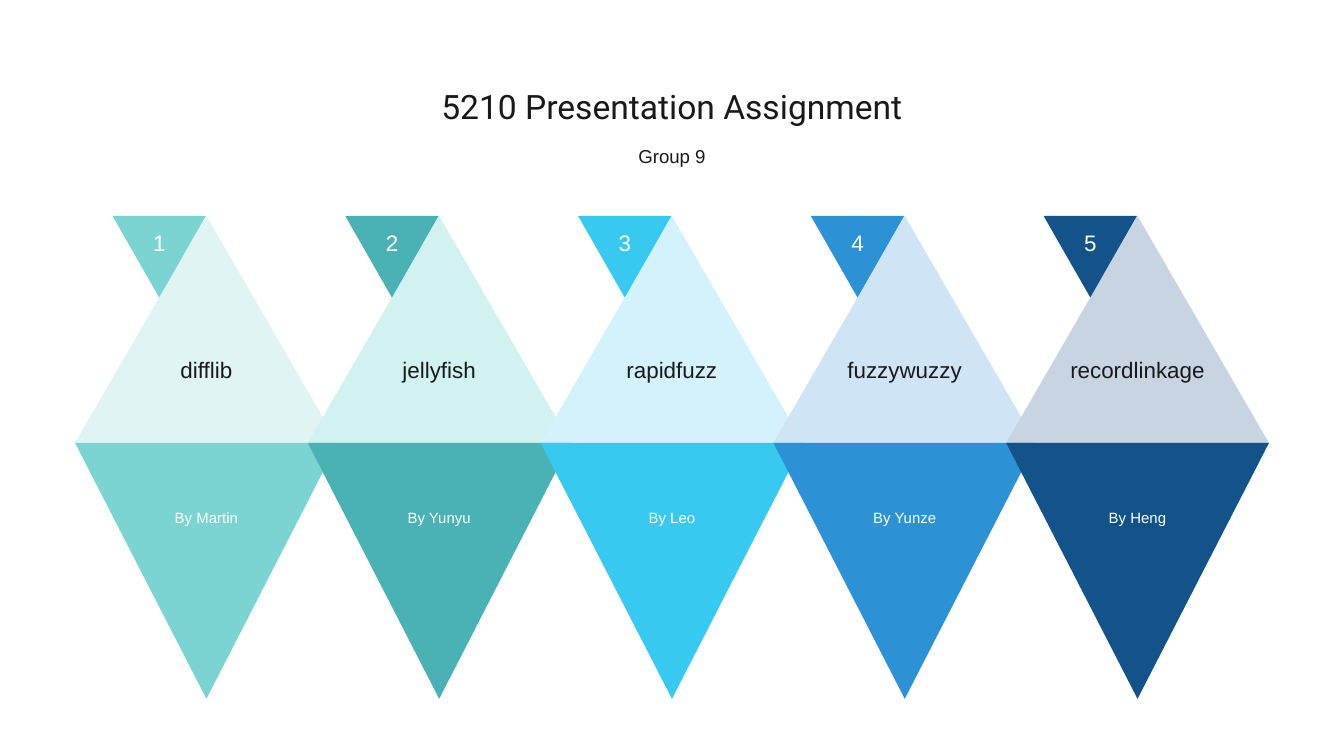
import pptx
import pptx.dml.color
import pptx.enum.text
import pptx.util

Pt = pptx.util.Pt
RGBColor = pptx.dml.color.RGBColor
Anchor = pptx.enum.text.MSO_ANCHOR

INK = RGBColor(0x19, 0x19, 0x19)
WHITE = RGBColor(0xFF, 0xFF, 0xFF)
PALE_MINT = RGBColor(0xE0, 0xF4, 0xF4)
PALE_TEAL = RGBColor(0xD2, 0xF1, 0xF1)
PALE_CYAN = RGBColor(0xD3, 0xF2, 0xFB)
PALE_BLUE = RGBColor(0xCF, 0xE4, 0xF5)
PALE_NAVY = RGBColor(0xC8, 0xD4, 0xE2)
MINT = RGBColor(0x7C, 0xD4, 0xD2)
TEAL = RGBColor(0x4A, 0xB1, 0xB4)
CYAN = RGBColor(0x37, 0xC9, 0xEF)
BLUE = RGBColor(0x2C, 0x92, 0xD5)
NAVY = RGBColor(0x13, 0x53, 0x8A)

PALE_COLOURS = [PALE_MINT, PALE_TEAL, PALE_CYAN, PALE_BLUE, PALE_NAVY]
STRONG_COLOURS = [MINT, TEAL, CYAN, BLUE, NAVY]
LIBRARIES = ["difflib", "jellyfish", "rapidfuzz", "fuzzywuzzy", "recordlinkage"]
AUTHORS = ["By Martin", "By Yunyu", "By Leo", "By Yunze", "By Heng"]
NUMBERS = ["1", "2", "3", "4", "5"]
COLUMN_STEP = 124.7


def add_text(page, box, text, size, colour=INK, font="Arial", spacing=1.4,
             inset=0, anchor=Anchor.MIDDLE):
    frame = page.shapes.add_textbox(*(Pt(length) for length in box)).text_frame
    frame.word_wrap = True
    frame.vertical_anchor = anchor
    frame.margin_left = frame.margin_right = Pt(inset)
    frame.margin_top = frame.margin_bottom = Pt(inset)
    para = frame.paragraphs[0]
    para.alignment = pptx.enum.text.PP_ALIGN.CENTER
    para.line_spacing = spacing
    span = para.add_run()
    span.text = text
    span.font.name = font
    span.font.size = Pt(size)
    span.font.color.rgb = colour


def add_triangle(page, box, colour, points_up):
    left, top, width, height = box
    bottom = top + height
    tip, base = (top, bottom) if points_up else (bottom, top)
    corners = [(left + width, base), (left, base)]
    builder = page.shapes.build_freeform(Pt(left + width / 2), Pt(tip))
    builder.add_line_segments([(Pt(x), Pt(y)) for x, y in corners], close=True)
    triangle = builder.convert_to_shape()
    triangle.shadow.inherit = False
    triangle.fill.solid()
    triangle.fill.fore_color.rgb = colour
    triangle.line.fill.background()


def add_heading(page, box):
    left, top, width, height = box
    add_text(page, (left, top, width, 21.6), "5210 Presentation Assignment", 18,
             font="Roboto", spacing=1.2, anchor=Anchor.TOP)
    add_text(page, (left, top + height - 12.2, width, 12.2), "Group 9", 10,
             spacing=1.75, anchor=Anchor.TOP)


def add_triangle_row(page, box, labels, colours, label_area, points_up=False, **text_format):
    first_left, top, width, height = box
    label_top, label_width, label_height = label_area
    for column, (label, colour) in enumerate(zip(labels, colours)):
        left = first_left + column * COLUMN_STEP
        add_triangle(page, (left, top, width, height), colour, points_up)
        label_left = left + (width - label_width) / 2
        add_text(page, (label_left, top + label_top, label_width, label_height),
                 label, **text_format)


def main():
    deck = pptx.Presentation()
    deck.slide_width = Pt(720)
    deck.slide_height = Pt(405)
    page = deck.slides.add_slide(deck.slide_layouts[6])
    add_heading(page, (113.5, 41.8, 493, 38.8))
    add_triangle_row(page, (40.2, 115.7, 140.8, 121.6), LIBRARIES, PALE_COLOURS,
                     (46.8, 96.5, 65.5), points_up=True, size=12, inset=2)
    add_triangle_row(page, (40.2, 237.3, 140.8, 137.1), AUTHORS, STRONG_COLOURS,
                     (1.6, 96.5, 72), size=8, colour=WHITE, spacing=1.5, inset=10)
    add_triangle_row(page, (60.3, 115.7, 50, 43.7), NUMBERS, STRONG_COLOURS,
                     (0, 34.5, 23), size=12, colour=WHITE, inset=2)
    deck.save("out.pptx")


if __name__ == "__main__":
    main()
